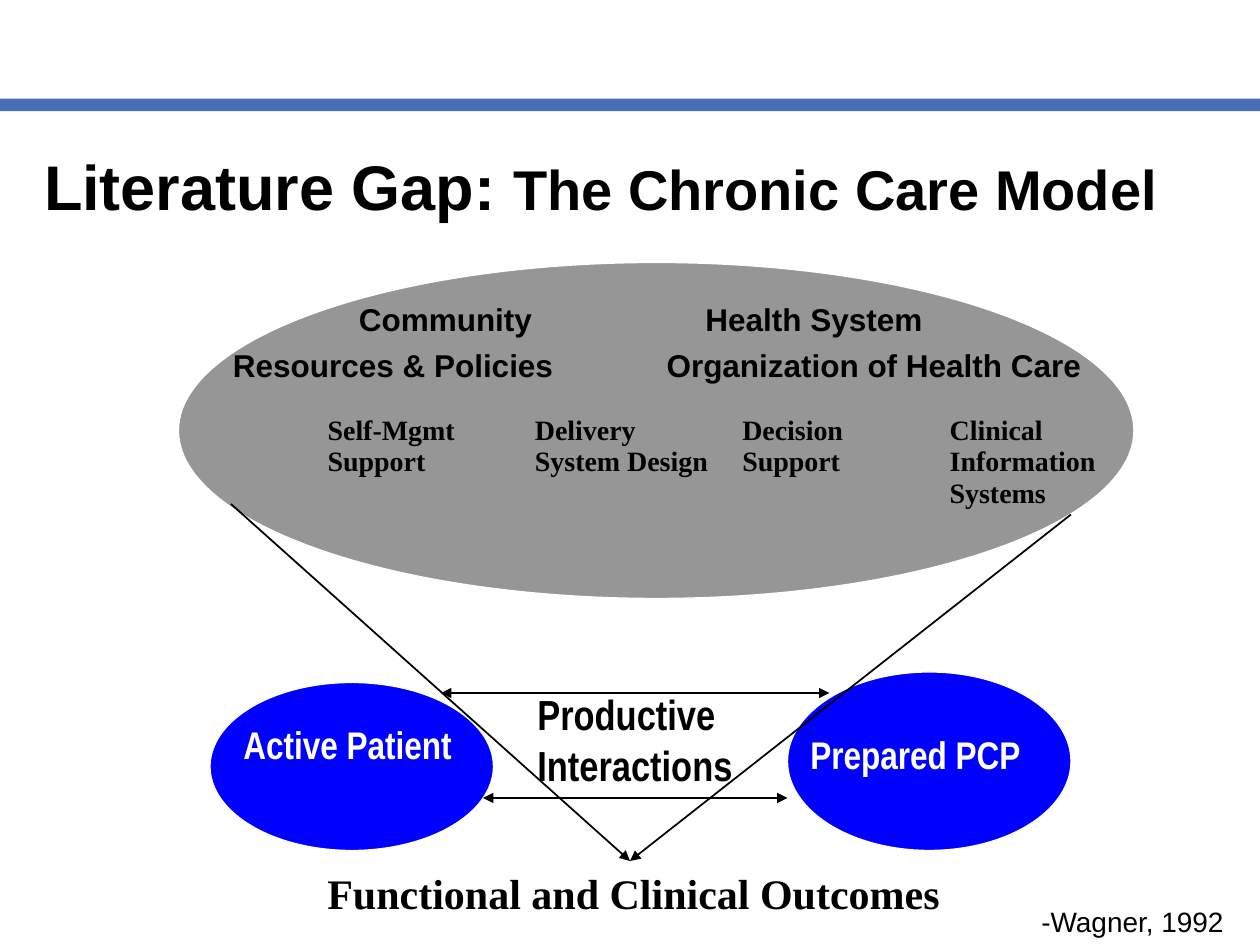
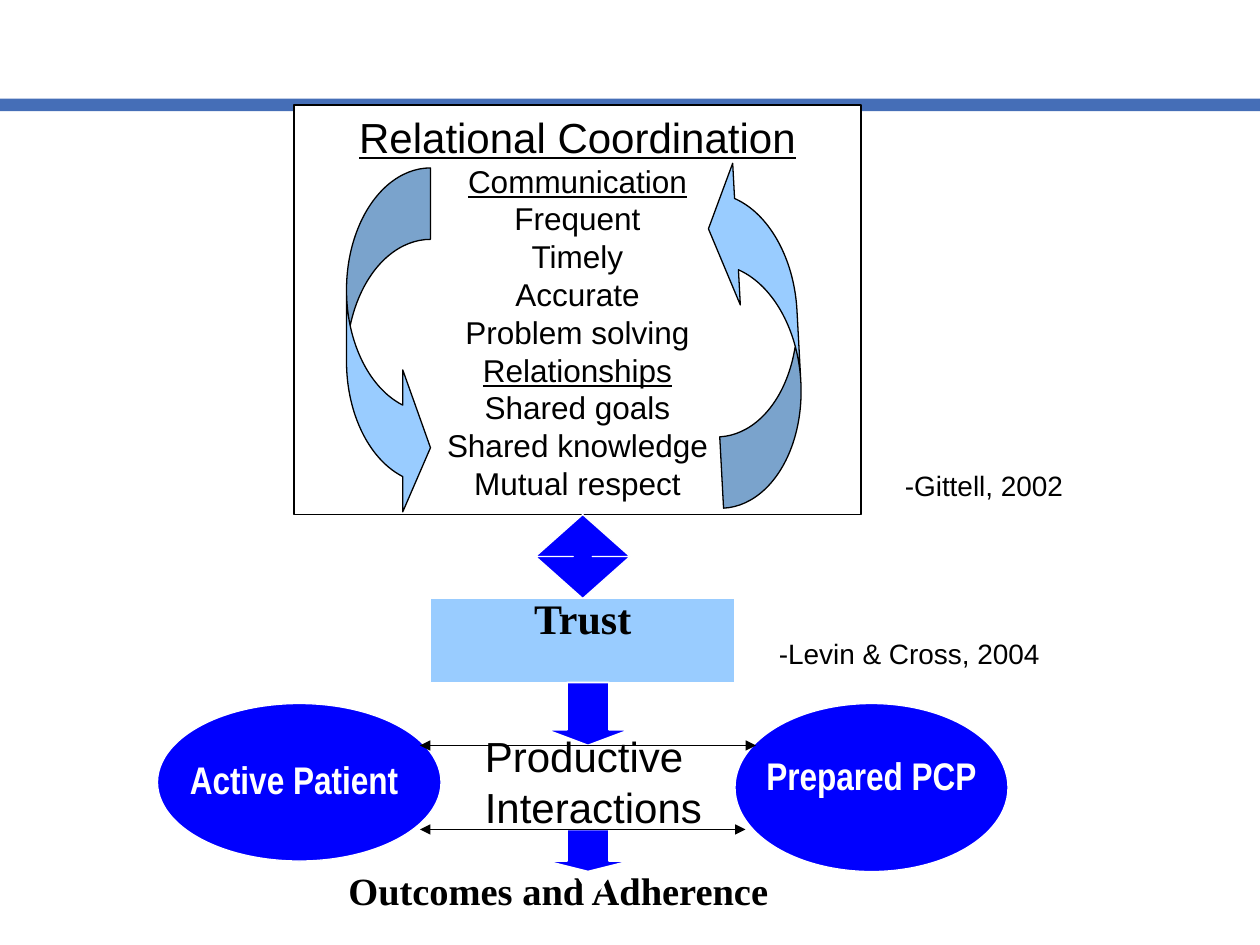
from dataclasses import dataclass, replace
from typing import Optional

from lxml.etree import SubElement
from pptx import Presentation
from pptx.dml.color import RGBColor
from pptx.enum.shapes import MSO_CONNECTOR, MSO_SHAPE
from pptx.enum.text import MSO_ANCHOR, PP_ALIGN
from pptx.oxml.ns import qn
from pptx.util import Inches, Pt

COLUMNS, ROWS = 120, 90
SLIDE_WIDTH, SLIDE_HEIGHT = Inches(10), Inches(7.5)
NO_GRID_TABLE_STYLE = "{2D5ABB26-0587-4C30-8999-92F81FD0307C}"
COLORS = {
    "band": "456EB7", "black": "000000", "white": "FFFFFF", "grey": "969696",
    "blue": "0000FF", "sky": "99CCFF", "cyan": "00CCFF",
}


@dataclass(frozen=True)
class Area:
    """Left, top, width and height in grid columns and rows."""
    left: float
    top: float
    width: float
    height: float

    def lengths(self) -> tuple:
        return column(self.left), row(self.top), column(self.width), row(self.height)


@dataclass(frozen=True)
class Style:
    font: str = "Arial"
    size: int = 18
    color: str = "black"
    bold: bool = False
    underline: bool = False
    align: PP_ALIGN = PP_ALIGN.LEFT
    line_spacing: Optional[float] = None


@dataclass(frozen=True)
class Figure:
    kind: MSO_SHAPE
    area: Area
    fill: str
    line: Optional[str] = "white"
    line_width: float = 0.75
    adjustments: tuple = ()
    rotation: float = 0


@dataclass(frozen=True)
class Label:
    area: Area
    text: str
    style: Style


@dataclass(frozen=True)
class Arrow:
    start: tuple
    end: tuple
    two_way: bool = True


HEADING = Style(bold=True, line_spacing=0.7)
ACTOR = Style("Arial Narrow", 22, "white", bold=True)
PATIENT = replace(ACTOR, line_spacing=0.5)
OUTCOME = Style("Times New Roman", 24, bold=True)
CELL = replace(OUTCOME, size=16)
CITATION = Style(size=16)
LISTED = Style(align=PP_ALIGN.CENTER)
LISTED_HEADING = replace(LISTED, underline=True)


def column(count: float) -> int:
    return round(SLIDE_WIDTH * count / COLUMNS)


def row(count: float) -> int:
    return round(SLIDE_HEIGHT * count / ROWS)


def rgb(name: str) -> RGBColor:
    return RGBColor.from_string(COLORS[name])


def add_run(paragraph, text: str, style: Style) -> None:
    run = paragraph.add_run()
    run.text = text
    font = run.font
    font.name, font.size = style.font, Pt(style.size)
    font.bold, font.underline = style.bold, style.underline
    font.color.rgb = rgb(style.color)


def write(paragraph, text: str, style: Style) -> None:
    paragraph.alignment = style.align
    if style.line_spacing:
        paragraph.line_spacing = style.line_spacing
    add_run(paragraph, text, style)


def add_figure(slide, figure: Figure):
    shape = slide.shapes.add_shape(figure.kind, *figure.area.lengths())
    shape.shadow.inherit = False
    shape.rotation = figure.rotation
    for index, value in enumerate(figure.adjustments):
        shape.adjustments[index] = value
    shape.fill.solid()
    shape.fill.fore_color.rgb = rgb(figure.fill)
    if figure.line:
        shape.line.color.rgb = rgb(figure.line)
        shape.line.width = Pt(figure.line_width)
    else:
        shape.line.fill.background()
    return shape


def add_label(slide, label: Label):
    text_frame = slide.shapes.add_textbox(*label.area.lengths()).text_frame
    text_frame.word_wrap = True
    write(text_frame.paragraphs[0], label.text, label.style)
    return text_frame


def add_arrow(slide, arrow: Arrow) -> None:
    (start_column, start_row), (end_column, end_row) = arrow.start, arrow.end
    connector = slide.shapes.add_connector(
        MSO_CONNECTOR.STRAIGHT, column(start_column), row(start_row),
        column(end_column), row(end_row))
    connector.line.color.rgb = rgb("black")
    connector.line.width = Pt(1)
    properties = connector.element.spPr
    line = properties.find(qn("a:ln"))
    for end in ("a:headEnd", "a:tailEnd") if arrow.two_way else ("a:tailEnd",):
        SubElement(line, qn(end), type="triangle")
    SubElement(properties, qn("a:effectLst"))


def add_tab_stops(paragraph, *columns: float) -> None:
    stops = SubElement(paragraph._p.get_or_add_pPr(), qn("a:tabLst"))
    for stop in columns:
        SubElement(stops, qn("a:tab"), pos=str(column(stop)), algn="l")


def add_master_band(presentation, slide) -> None:
    """Draw the band, then move it to the master so every slide shows it."""
    band = add_figure(slide, Figure(MSO_SHAPE.RECTANGLE, Area(0, 9.4, COLUMNS, 1.2), "band", None))
    presentation.slide_master.shapes.element.insert(2, band.element)


def add_care_elements_table(slide) -> None:
    names = ("Self-Mgmt Support", "Delivery System Design",
             "Decision Support", "Clinical Information Systems")
    row_heights = (15.4, 5.1, 5.1)
    area = Area(30, 39, 79, sum(row_heights))
    frame = slide.shapes.add_table(len(row_heights), len(names), *area.lengths())
    table = frame.table
    table.first_row = table.horz_banding = False
    next(frame.element.iter(qn("a:tableStyleId"))).text = NO_GRID_TABLE_STYLE
    for table_row, height in zip(table.rows, row_heights):
        table_row.height = row(height)
    for cell in table.iter_cells():
        cell.fill.background()
    for index, name in enumerate(names):
        write(table.cell(0, index).text_frame.paragraphs[0], name, CELL)


def build_care_model(slide) -> None:
    title = slide.shapes.title
    title.left, title.top, title.width, title.height = Area(3, 11, 114, 15).lengths()
    title.text_frame.vertical_anchor = MSO_ANCHOR.MIDDLE
    paragraph = title.text_frame.paragraphs[0]
    write(paragraph, "Literature Gap: ", replace(HEADING, size=36))
    add_run(paragraph, "The Chronic Care Model", replace(HEADING, size=32))

    for area, fill in ((Area(17, 25, 91, 32), "grey"),
                       (Area(20, 65, 27, 16), "blue"),
                       (Area(75, 64, 27, 17), "blue")):
        add_figure(slide, Figure(MSO_SHAPE.OVAL, area, fill))

    headings = add_label(slide, Label(Area(21, 29, 94, 8.4), "\tCommunity", HEADING))
    second = headings.add_paragraph()
    add_tab_stops(headings.paragraphs[0], 12)
    add_tab_stops(second, 41.3)
    second.space_before = Pt(11.2)
    write(second, "Resources & Policies\tOrganization of Health Care", HEADING)
    add_label(slide, Label(Area(66, 28, 36, 4.8), "Health System", Style(bold=True)))
    add_care_elements_table(slide)

    for label in (
        Label(Area(30, 82, 67, 6), "Functional and Clinical Outcomes", OUTCOME),
        Label(Area(50, 65, 28, 10.8), "Productive Interactions",
              Style("Arial Narrow", 24, bold=True)),
        Label(Area(76, 69, 30, 5.6), "Prepared PCP", ACTOR),
        Label(Area(22, 70, 25, 3.5), "Active Patient", PATIENT),
        Label(Area(98, 85.6, 22, 4.4), "-Wagner, 1992", CITATION),
    ):
        add_label(slide, label)
    for arrow in (
        Arrow((102, 49), (60, 82), two_way=False),
        Arrow((22, 48), (60, 82), two_way=False),
        Arrow((42, 66), (79, 66)),
        Arrow((46, 76), (75, 76)),
    ):
        add_arrow(slide, arrow)


def add_coordination_box(slide) -> None:
    box = add_figure(slide, Figure(MSO_SHAPE.RECTANGLE, Area(28, 10, 54, 39), "white", "black"))
    text_frame = box.text_frame
    text_frame.vertical_anchor = MSO_ANCHOR.TOP
    write(text_frame.paragraphs[0], "Relational Coordination", replace(LISTED_HEADING, size=24))
    groups = {
        "Communication": ("Frequent", "Timely", "Accurate", "Problem solving"),
        "Relationships": ("Shared goals", "Shared knowledge", "Mutual respect"),
    }
    for heading, items in groups.items():
        write(text_frame.add_paragraph(), heading, LISTED_HEADING)
        for item in items:
            write(text_frame.add_paragraph(), item, LISTED)


def add_trust_box(slide) -> None:
    box = add_figure(slide, Figure(MSO_SHAPE.RECTANGLE, Area(41, 57, 29, 8), "sky"))
    text_frame = box.text_frame
    text_frame.word_wrap = False
    text_frame.vertical_anchor = MSO_ANCHOR.MIDDLE
    text_frame.margin_top, text_frame.margin_bottom = 0, Inches(0.37)
    write(text_frame.paragraphs[0], "Trust", replace(OUTCOME, align=PP_ALIGN.CENTER))


def build_relational_coordination(slide) -> None:
    for area in (Area(15, 67, 27, 15), Area(70, 67, 26, 16)):
        add_figure(slide, Figure(MSO_SHAPE.OVAL, area, "blue"))
    for label in (
        Label(Area(71, 71, 24, 5.6), "Prepared PCP", replace(ACTOR, align=PP_ALIGN.CENTER)),
        Label(Area(16, 73.3, 24, 3.5), "Active Patient", replace(PATIENT, align=PP_ALIGN.CENTER)),
        Label(Area(32, 82, 57, 5.6), "Outcomes and Adherence", replace(OUTCOME, size=22)),
    ):
        add_label(slide, label)

    add_coordination_box(slide)
    for left, top, rotation in ((33, 16, 0), (68, 14.8, 176.9)):
        add_figure(slide, Figure(MSO_SHAPE.CURVED_RIGHT_ARROW, Area(left, top, 8, 33.4), "sky",
                                 "black", 0.75, (0.85, 1.69, 0.33), rotation))
    add_trust_box(slide)
    add_figure(slide, Figure(MSO_SHAPE.UP_DOWN_ARROW, Area(51, 49, 9, 8), "blue",
                             adjustments=(0.5, 0.2)))
    add_figure(slide, Figure(MSO_SHAPE.DOWN_ARROW, Area(56, 81, 1, 3), "cyan",
                             line_width=12, adjustments=(0.5, 0.75)))
    add_label(slide, Label(Area(45, 69, 25, 10.8), "Productive Interactions", Style(size=24)))
    for top, height in ((65, 6), (79, 4)):
        add_figure(slide, Figure(MSO_SHAPE.DOWN_ARROW, Area(52, top, 8, height), "blue",
                                 line_width=1, adjustments=(0.5, 0.25)))
    for arrow in (Arrow((40, 71), (72, 71)), Arrow((40, 79), (71, 79))):
        add_arrow(slide, arrow)
    add_label(slide, Label(Area(85, 44, 24, 4.4), "-Gittell, 2002", CITATION))
    add_label(slide, Label(Area(73, 60, 37, 4.4), "-Levin & Cross, 2004", CITATION))


def main() -> None:
    presentation = Presentation()
    presentation.slide_width, presentation.slide_height = SLIDE_WIDTH, SLIDE_HEIGHT
    title_only, blank = presentation.slide_layouts[5], presentation.slide_layouts[6]
    care_model = presentation.slides.add_slide(title_only)
    add_master_band(presentation, care_model)
    build_care_model(care_model)
    build_relational_coordination(presentation.slides.add_slide(blank))
    presentation.save("out.pptx")


if __name__ == "__main__":
    main()
